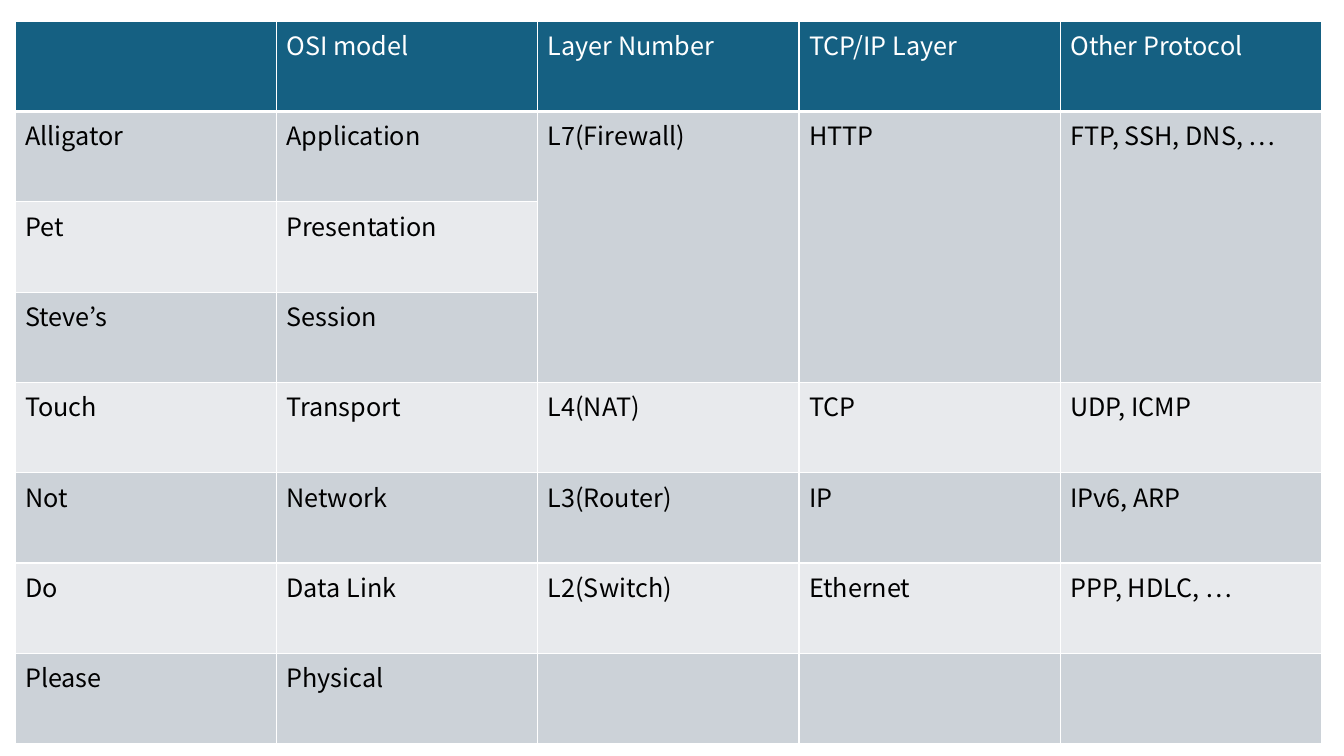
from pptx import Presentation
from pptx.dml.color import RGBColor as RGB
from pptx.oxml import parse_xml
from pptx.oxml.ns import nsdecls
from pptx.util import Inches, Pt

FONT = "Noto Sans CJK KR"
WHITE = RGB(0xFF, 0xFF, 0xFF)
BLACK = RGB(0x00, 0x00, 0x00)
BLUE = RGB(0x15, 0x60, 0x82)
DARK = RGB(0xCC, 0xD2, 0xD8)
LIGHT = RGB(0xE8, 0xEA, 0xED)

ROWS = [
    ["", "OSI model", "Layer Number", "TCP/IP Layer", "Other Protocol"],
    ["Alligator", "Application", "L7(Firewall)", "HTTP", "FTP, SSH, DNS, …"],
    ["Pet", "Presentation", "", "", ""],
    ["Steve’s", "Session", "", "", ""],
    ["Touch", "Transport", "L4(NAT)", "TCP", "UDP, ICMP"],
    ["Not", "Network", "L3(Router)", "IP", "IPv6, ARP"],
    ["Do", "Data Link", "L2(Switch)", "Ethernet", "PPP, HDLC, …"],
    ["Please", "Physical", "", "", ""],
]


def write(frame, text, size=18, color=BLACK, bold=False):
    run = frame.paragraphs[0].add_run()
    run.text = text
    font = run.font
    font.name, font.size, font.bold = FONT, Pt(size), bold
    font.color.rgb = color


def border(cell, top=1, bottom=1):
    props = cell._tc.get_or_add_tcPr()
    for side, width in (("L", 1), ("R", 1), ("T", top), ("B", bottom)):
        props.append(parse_xml(
            f'<a:ln{side} {nsdecls("a")} w="{Pt(width)}">'
            f'<a:solidFill><a:srgbClr val="{WHITE}"/></a:solidFill>'
            f'</a:ln{side}>'))


def layers(slide, left, top, width, height):
    count, span = len(ROWS), len(ROWS[0])
    table = slide.shapes.add_table(
        count, span, Inches(left), Inches(top),
        Inches(width), Inches(height)).table
    for col in table.columns:
        col.width = Inches(width / span)

    # Header and banded rows
    for r, words in enumerate(ROWS):
        table.rows[r].height = Inches(height / count)
        fill = BLUE if r == 0 else DARK if r % 2 else LIGHT
        for c, text in enumerate(words):
            cell = table.cell(r, c)
            border(cell, top=3 if r == 1 else 1, bottom=3 if r == 0 else 1)
            cell.fill.solid()
            cell.fill.fore_color.rgb = fill
            if text:
                write(cell.text_frame, text, color=BLACK if r else WHITE)

    # The upper three layers share one cell in each right-hand column
    for c in range(2, span):
        table.cell(1, c).merge(table.cell(3, c))


def main():
    deck = Presentation()
    deck.slide_width, deck.slide_height = Inches(13.33), Inches(7.5)
    slide = deck.slides.add_slide(deck.slide_layouts[6])
    layers(slide, 0.15, 0.21, 12.96, 7.17)
    deck.save("out.pptx")


if __name__ == "__main__":
    main()
